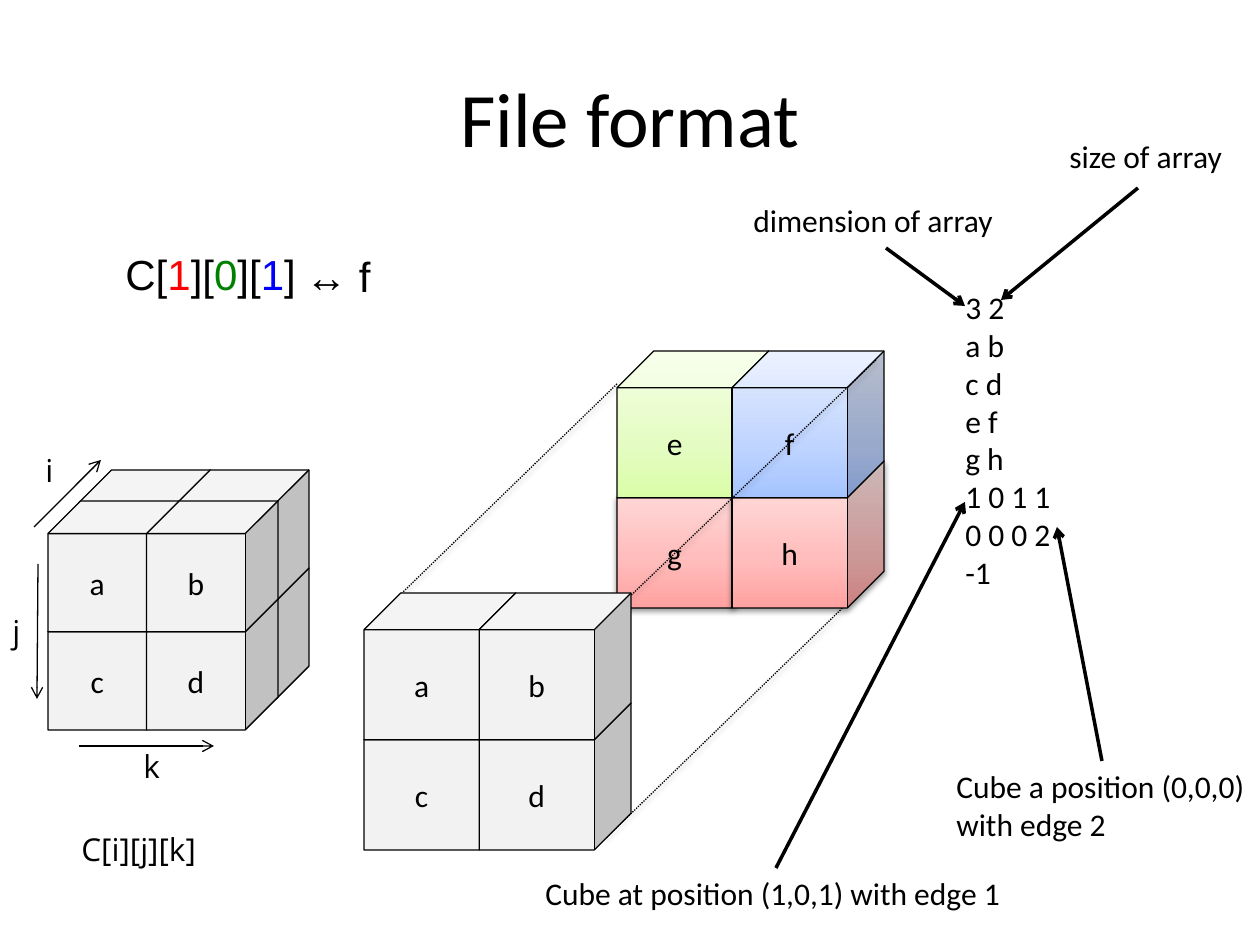
import copy
import pptx
import pptx.dml.color
import pptx.enum.dml
import pptx.enum.shapes
import pptx.enum.text
import pptx.oxml.ns
import pptx.util
from lxml import etree

SCALE = 914400 // 126
GREY = "F2F2F2"
PINK = ("FFA2A1", "FFBEBD", "FFE5E5")
GREEN = ("DAFDA7", "E4FCC2", "F5FFE7")
BLUE = ("A4C4FF", "BFD4FF", "E6EEFF")


def emu(*pixels):
    """Turn pixels into EMU."""
    return [pptx.util.Emu(round(n * SCALE)) for n in pixels]


def color(code):
    """Return the colour of a hex string."""
    return pptx.dml.color.RGBColor.from_string(code)


def child(node, tag, **attrs):
    """Append a drawing element with its attributes."""
    return etree.SubElement(node, pptx.oxml.ns.qn("a:" + tag), attrs)


def shade(shape, soft):
    """Give a soft shadow, or none at all."""
    props = shape._element.spPr
    for old in props.findall(pptx.oxml.ns.qn("a:effectLst")):
        props.remove(old)
    effect = child(props, "effectLst")
    if soft:
        drop = child(effect, "outerShdw", blurRad="40000", dist="20000",
                     dir="5400000", rotWithShape="0")
        tint = child(drop, "srgbClr", val="000000")
        child(tint, "alpha", val="38000")


def write(para, text, size=18, font="Calibri", code="000000"):
    """Add one run to a paragraph."""
    run = para.add_run()
    run.text = text
    run.font.size = pptx.util.Pt(size)
    run.font.name = font
    run.font.color.rgb = color(code)


def label(slide, box, lines, size=18, font="Calibri"):
    """Place a text box; each line is a list of text and colour pairs."""
    frame = slide.shapes.add_textbox(*emu(*box)).text_frame
    frame.word_wrap = False
    frame.auto_size = pptx.enum.text.MSO_AUTO_SIZE.SHAPE_TO_FIT_TEXT
    for i, runs in enumerate(lines):
        para = frame.add_paragraph() if i else frame.paragraphs[0]
        for text, code in runs:
            write(para, text, size, font, code)


def plain(*lines):
    """Turn strings into black one-run lines."""
    return [[(line, "000000")] for line in lines]


def line(slide, ends, width=0.75, arrow=True):
    """Draw an arrow, or a dotted line with a shadow."""
    kind = pptx.enum.shapes.MSO_CONNECTOR.STRAIGHT
    link = slide.shapes.add_connector(kind, *emu(*ends))
    link.line.width = pptx.util.Pt(width)
    link.line.color.rgb = color("000000")
    if arrow:
        child(link.line._get_or_add_ln(), "tailEnd", type="arrow")
    else:
        link.line.dash_style = pptx.enum.dml.MSO_LINE.ROUND_DOT
    shade(link, not arrow)


def paint(shape, tones):
    """Fill with one colour, or with three tones from the bottom up."""
    if isinstance(tones, str):
        shape.fill.solid()
        shape.fill.fore_color.rgb = color(tones)
        return
    shape.fill.gradient()
    shape.fill.gradient_angle = 90
    stops = shape._element.spPr.find(".//" + pptx.oxml.ns.qn("a:gsLst"))
    stops.insert(1, copy.deepcopy(stops[0]))
    for stop, tone, place in zip(shape.fill.gradient_stops, tones, (0, 0.35, 1)):
        stop.color.rgb = color(tone)
        stop.position = place


def cube(slide, box, text, tones):
    """Draw one cube with its letter."""
    kind = pptx.enum.shapes.MSO_SHAPE.CUBE
    shape = slide.shapes.add_shape(kind, *emu(*box))
    paint(shape, tones)
    shape.line.color.rgb = color("000000")
    shape.line.width = pptx.util.Pt(0.75)
    shade(shape, tones == PINK)
    if text:
        frame = shape.text_frame
        frame.vertical_anchor = pptx.enum.text.MSO_ANCHOR.MIDDLE
        para = frame.paragraphs[0]
        para.alignment = pptx.enum.text.PP_ALIGN.CENTER
        write(para, text)


def block(slide, box, names, tones=(GREY,) * 4):
    """Stack two rows of two cubes, the bottom row first."""
    left, top, width, height = box
    edge = min(width, height) / 1.75
    wide, high = width - edge / 4, height - edge / 4
    wide, high = wide / 2, high / 2
    deep = min(wide, high) / 3
    for i in (2, 3, 0, 1):
        row, col = divmod(i, 2)
        place = (left + col * wide, top + row * high, wide + deep, high + deep)
        cube(slide, place, names[i], tones[i])


def array(slide, box):
    """Draw the indexed array with its three axes."""
    left, top = box
    for dx, dy, names in ((79, 10, [""] * 4), (48, 41, "abcd")):
        block(slide, (left + dx, top + dy, 230, 229), names)
    for ends in ((38, 104, 37, 239), (79, 286, 214, 286), (34, 67, 101, 0)):
        line(slide, [n + (left, top)[i % 2] for i, n in enumerate(ends)])
    for text, dx, dy, width in (("j", 0, 146, 38), ("k", 131, 281, 45),
                                ("i", 33, -15, 34), ("C[i][j][k]", 69, 364, 173)):
        label(slide, (left + dx, top + dy, width, 50), plain(text), font="Open Sans")


def stack(slide, box):
    """Draw the front and rear blocks joined by dotted lines."""
    left, top = box
    for ends in ((253, 33, 0, 279), (495, 241, 242, 487)):
        line(slide, [n + (left, top)[i % 2] for i, n in enumerate(ends)], arrow=False)
    block(slide, (left + 253, top, 267, 257), "efgh", (GREEN, BLUE, PINK, PINK))
    line(slide, (left + 512, top + 9, left + 257, top + 254), arrow=False)
    block(slide, (left, top + 242, 267, 257), "abcd")


def listing(slide, box):
    """Write the file and the notes that point at it."""
    left, top = box
    label(slide, (left, top, 112, 318),
          plain("3 2", "a b", "c d", "e f", "g h", "1 0 1 1", "0 0 0 2", "-1"))
    notes = (
        ((-9, 479, 316, 89), ("Cube a position (0,0,0) ", "with edge 2"), (149, 479, 104, 245)),
        ((-420, 586, 485, 50), ("Cube at position (1,0,1) with edge 1 ",), (-177, 586, 12, 220)),
        ((104, -151, 180, 50), ("size of array",), (185, -94, 48, 18)),
        ((-212, -87, 267, 50), ("dimension of array",), (-67, -34, 12, 24)),
    )
    for (dx, dy, width, height), lines, ends in notes:
        label(slide, (left + dx, top + dy, width, height), plain(*lines))
        line(slide, [n + (left, top)[i % 2] for i, n in enumerate(ends)], 2)


def lookup(slide, box):
    """Write the coloured index and the cell it finds."""
    left, top = box
    runs = [("C[", "000000"), ("1", "FF0000"), ("][", "000000"), ("0", "008000"),
            ("][", "000000"), ("1", "0000FF"), ("]", "000000")]
    label(slide, (left, top, 198, 64), [runs], 24, "Arial")
    label(slide, (left + 180, top + 2, 95, 64), plain("\u2194 f"), 24, "Arial")


def head(slide, box, text):
    """Place and format the title."""
    title = slide.shapes.title
    title.left, title.top, title.width, title.height = emu(*box)
    title.text_frame.vertical_anchor = pptx.enum.text.MSO_ANCHOR.MIDDLE
    para = title.text_frame.paragraphs[0]
    para.alignment = pptx.enum.text.PP_ALIGN.CENTER
    write(para, text, 44)


def main():
    """Build the slide and save it."""
    deck = pptx.Presentation()
    deck.slide_width, deck.slide_height = emu(1260, 945)
    slide = deck.slides.add_slide(deck.slide_layouts[5])
    head(slide, (63, 38, 1134, 158), "File format")
    listing(slide, (953, 282))
    array(slide, (0, 460))
    lookup(slide, (113, 242))
    stack(slide, (364, 351))
    deck.save("out.pptx")


main()
